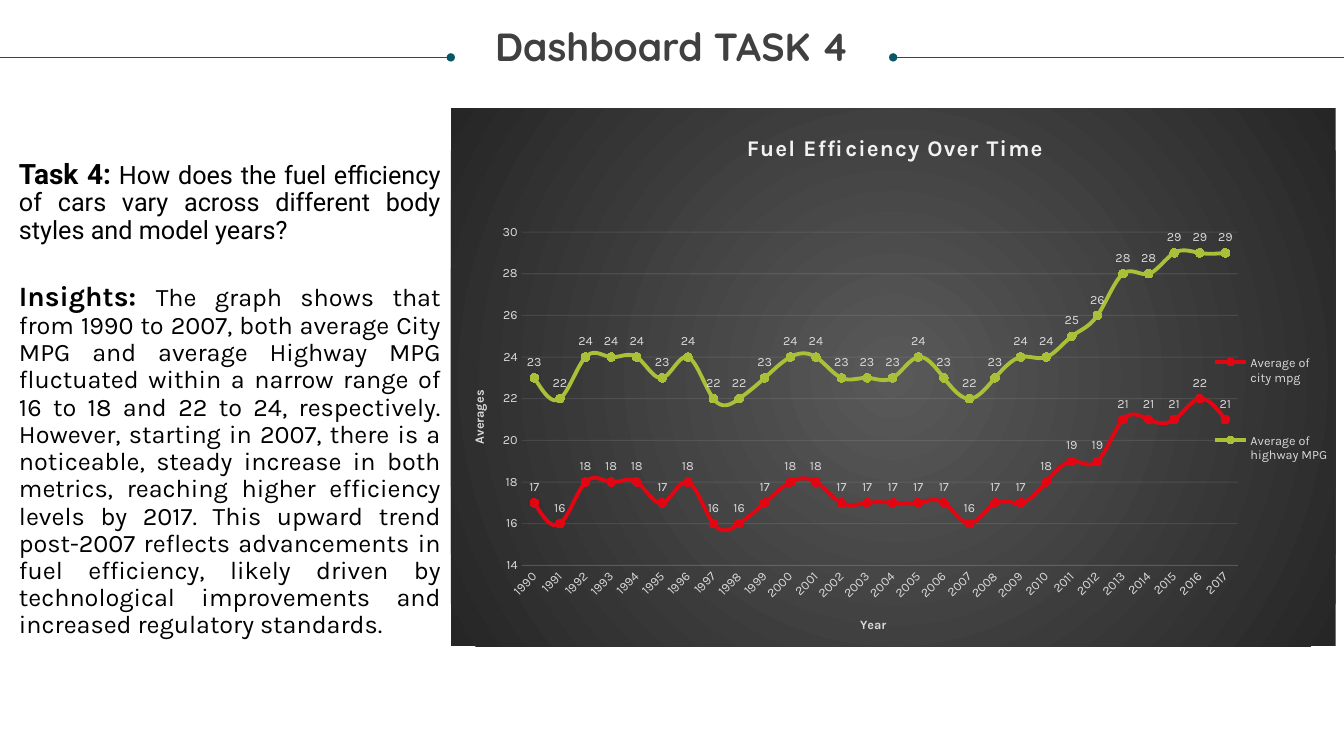
from lxml import etree
from pptx import Presentation
from pptx.chart.data import CategoryChartData
from pptx.dml.color import RGBColor
from pptx.enum.chart import (XL_CHART_TYPE, XL_LABEL_POSITION, XL_LEGEND_POSITION,
                             XL_MARKER_STYLE, XL_TICK_MARK)
from pptx.enum.shapes import MSO_CONNECTOR
from pptx.enum.text import MSO_ANCHOR, PP_ALIGN
from pptx.oxml import parse_xml
from pptx.oxml.ns import nsdecls, qn
from pptx.util import Pt

LINES = XL_CHART_TYPE.LINE_MARKERS
ABOVE = XL_LABEL_POSITION.ABOVE
RIGHT = XL_LEGEND_POSITION.RIGHT
CIRCLE = XL_MARKER_STYLE.CIRCLE
NO_TICK = XL_TICK_MARK.NONE
STRAIGHT = MSO_CONNECTOR.STRAIGHT
MIDDLE = MSO_ANCHOR.MIDDLE
CENTER = PP_ALIGN.CENTER
JUSTIFY = PP_ALIGN.JUSTIFY

TEAL = RGBColor(0x08, 0x57, 0x64)
DARK = RGBColor(0x40, 0x40, 0x40)
BLACK = RGBColor(0, 0, 0)
PALE = RGBColor(0xD9, 0xD9, 0xD9)
WHITE = RGBColor(0xF2, 0xF2, 0xF2)
RED = RGBColor(0xE2, 0x06, 0x13)
RED_DOT = RGBColor(0xE8, 0x00, 0x0E)
GREEN = RGBColor(0xA9, 0xC0, 0x38)
GREEN_DOT = RGBColor(0xAE, 0xC7, 0x31)
INNER = RGBColor(0x59, 0x59, 0x59)
OUTER = RGBColor(0x26, 0x26, 0x26)

CITY = [17, 16, 18, 18, 18, 17, 18, 16, 16, 17, 18, 18, 17, 17,
        17, 17, 17, 16, 17, 17, 18, 19, 19, 21, 21, 21, 22, 21]
HIGHWAY = [23, 22, 24, 24, 24, 23, 24, 22, 22, 23, 24, 24, 23, 23,
           23, 24, 23, 22, 23, 24, 24, 25, 26, 28, 28, 29, 29, 29]
TASK = (" How does the fuel efficiency of cars vary across different body styles "
        "and model years?")
INSIGHT = (
    "The graph shows that from 1990 to 2007, both average City MPG and average Highway MPG "
    "fluctuated within a narrow range of 16 to 18 and 22 to 24, respectively. However, "
    "starting in 2007, there is a noticeable, steady increase in both metrics, reaching "
    "higher efficiency levels by 2017. This upward trend post-2007 reflects advancements in "
    "fuel efficiency, likely driven by technological improvements and increased regulatory "
    "standards.")


def style(font, name, size, color, bold=False):
    font.name = name
    font.size = Pt(size)
    font.color.rgb = color
    font.bold = bold


def add_rule(slide, start, end):
    rule = slide.shapes.add_connector(STRAIGHT, Pt(start), Pt(41), Pt(end), Pt(41))
    rule.line.color.rgb = TEAL
    rule.line.width = Pt(0.5)
    props = rule._element.spPr
    etree.SubElement(props.find(qn("a:ln")), qn("a:headEnd"), type="oval")
    etree.SubElement(props, qn("a:effectLst"))


def add_box(slide, left, top, width, height):
    box = slide.shapes.add_textbox(Pt(left), Pt(top), Pt(width), Pt(height))
    box.text_frame.word_wrap = True
    return box.text_frame


def add_title(slide):
    frame = add_box(slide, 18, 20, 924, 30)
    frame.margin_left = frame.margin_right = frame.margin_top = frame.margin_bottom = 0
    frame.text = "Dashboard TASK 4"
    line = frame.paragraphs[0]
    line.alignment = CENTER
    line.line_spacing = 0.9
    style(line.runs[0].font, "Quicksand", 28, DARK, True)


def fill_para(para, lead, text, font):
    para.alignment = JUSTIFY
    para.line_spacing = 0.9
    for words, size, bold in ((lead, 20, True), (text, 18, False)):
        run = para.add_run()
        run.text = words
        style(run.font, font, size, BLACK, bold)


def add_body(slide):
    frame = add_box(slide, 6.5, 72, 315.5, 427)
    frame.vertical_anchor = MIDDLE
    fill_para(frame.paragraphs[0], "Task 4:", TASK, "Roboto")
    para = frame.add_paragraph()
    para.space_before = Pt(27)
    fill_para(para, "Insights: ", INSIGHT, "Karla")


def place(part, index, **spots):
    old = part.find(qn("c:layout"))
    if old is not None:
        part.remove(old)
    layout = etree.Element(qn("c:layout"))
    manual = etree.SubElement(layout, qn("c:manualLayout"))
    if index == 0:
        etree.SubElement(manual, qn("c:layoutTarget"), val="inner")
    for mode in ("xMode", "yMode"):
        etree.SubElement(manual, qn("c:" + mode), val="edge")
    for key, value in spots.items():
        etree.SubElement(manual, qn("c:" + key), val=str(value))
    part.insert(index, layout)


def set_title(title, text, size, color, x, y):
    title.text_frame.text = text
    run = title.text_frame.paragraphs[0].runs[0]
    style(run.font, "Karla", size, color, True)
    place(title._element, 1, x=x, y=y)
    return run


def fade_line(axis, line):
    line.color.rgb = WHITE
    line.width = Pt(0.75)
    for stroke in axis._element.iter(qn("a:ln")):
        for color in stroke.iter(qn("a:srgbClr")):
            etree.SubElement(color, qn("a:alpha"), val="10000")


def set_axes(chart):
    years, means = chart.category_axis, chart.value_axis
    fade_line(years, years.format.line)
    means.has_major_gridlines = True
    fade_line(means, means.major_gridlines.format.line)
    means.format.line.fill.background()
    means.minimum_scale, means.maximum_scale, means.major_unit = 14, 30, 2
    means.tick_labels.number_format = "0"
    means.tick_labels.number_format_is_linked = False
    for axis, text, x, y in ((years, "Year", 0.46, 0.94), (means, "Averages", 0.02, 0.52)):
        axis.major_tick_mark = axis.minor_tick_mark = NO_TICK
        style(axis.tick_labels.font, "Karla", 9, PALE)
        set_title(axis.axis_title, text, 9, PALE, x, y)
    turn = years._element.find(qn("c:txPr")).find(qn("a:bodyPr"))
    turn.set("rot", "-2700000")
    turn.set("vert", "horz")


def set_line(series, color, dot):
    series.smooth = True
    series.format.line.color.rgb = color
    series.format.line.width = Pt(2.75)
    marker = series.marker
    marker.style = CIRCLE
    marker.size = 6
    marker.format.fill.solid()
    marker.format.fill.fore_color.rgb = dot
    marker.format.line.color.rgb = color
    labels = series.data_labels
    labels.show_value = True
    labels.position = ABOVE
    labels.number_format = "0"
    labels.number_format_is_linked = False
    style(labels.font, "Karla", 9, PALE)


def shade(chart):
    props = parse_xml(
        f'<c:spPr {nsdecls("c", "a")}><a:gradFill><a:gsLst>'
        f'<a:gs pos="0"><a:srgbClr val="{INNER}"/></a:gs>'
        f'<a:gs pos="100000"><a:srgbClr val="{OUTER}"/></a:gs></a:gsLst>'
        '<a:path path="circle"><a:fillToRect l="50000" t="50000" r="50000" b="50000"/>'
        '</a:path></a:gradFill><a:ln><a:noFill/></a:ln></c:spPr>')
    chart._chartSpace.find(qn("c:txPr")).addprevious(props)


def add_graph(slide):
    data = CategoryChartData(number_format="0")
    data.categories = [str(year) for year in range(1990, 2018)]
    data.add_series("Average of city mpg", CITY)
    data.add_series("Average of highway MPG", HIGHWAY)
    chart = slide.shapes.add_chart(LINES, Pt(322), Pt(77.5), Pt(632), Pt(384), data).chart
    style(chart.font, "Karla", 10, BLACK)
    shade(chart)
    heading = set_title(chart.chart_title, "Fuel Efficiency Over Time", 16, WHITE, 0.33, 0.04)
    heading._r.get_or_add_rPr().set("spc", "100")
    chart.has_legend = True
    chart.legend.position = RIGHT
    chart.legend.include_in_layout = False
    style(chart.legend.font, "Karla", 9, PALE)
    place(chart.legend._element, 1, x=0.87, y=0.37, w=0.13, h=0.38)
    set_axes(chart)
    plot = chart.plots[0]
    plot.vary_by_categories = False
    for series, color, dot in zip(plot.series, (RED, GREEN), (RED_DOT, GREEN_DOT)):
        set_line(series, color, dot)
    place(chart._chartSpace.chart.plotArea, 0, x=0.08, y=0.23, w=0.81, h=0.62)


def main():
    deck = Presentation()
    deck.slide_width, deck.slide_height = Pt(960), Pt(540)
    slide = deck.slides.add_slide(deck.slide_layouts[6])
    add_rule(slide, 638, 960)
    add_title(slide)
    add_rule(slide, 322, 0)
    add_body(slide)
    add_graph(slide)
    deck.save("out.pptx")


if __name__ == "__main__":
    main()
